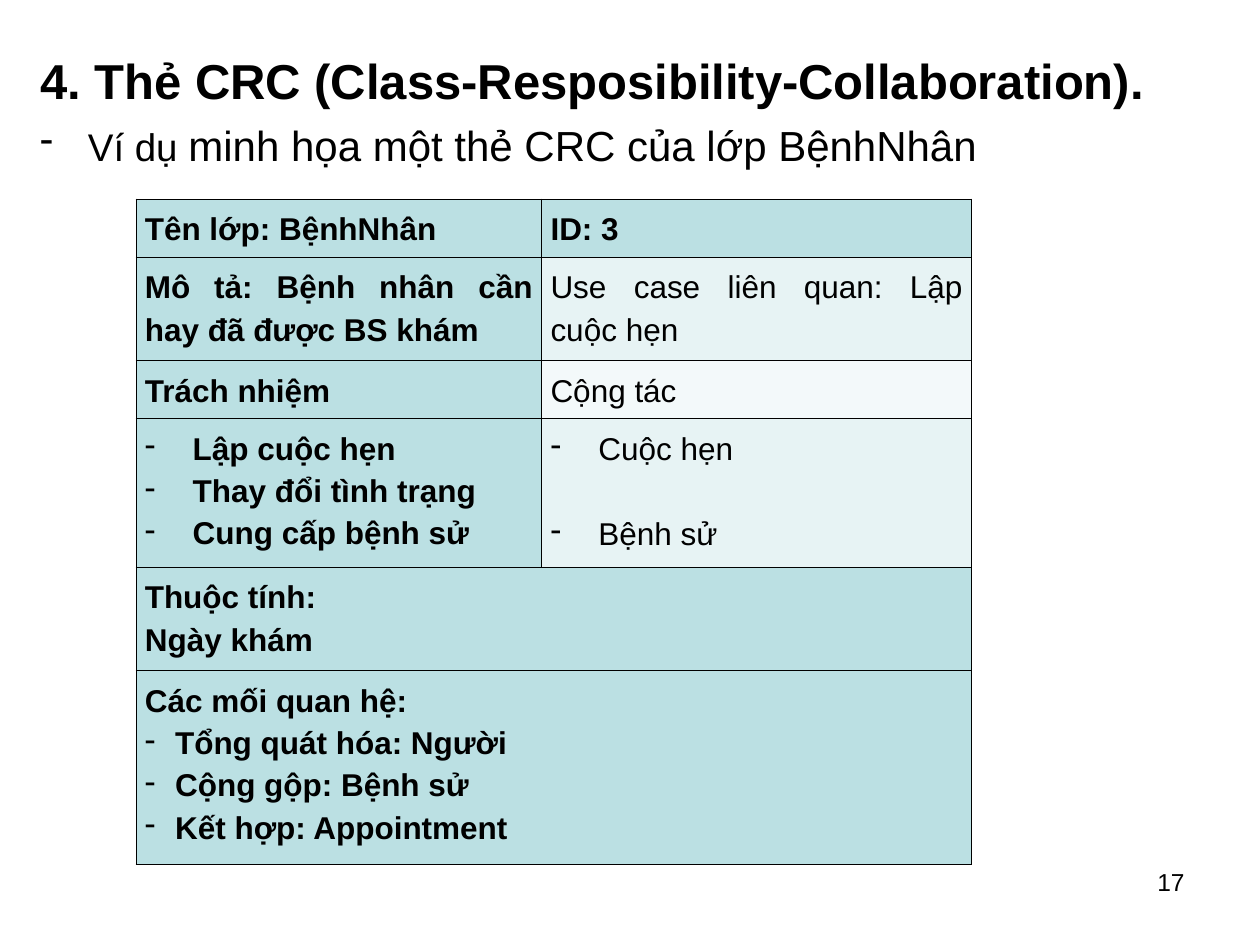
from lxml import etree
from pptx import Presentation
from pptx.dml.color import RGBColor
from pptx.enum.text import PP_ALIGN
from pptx.oxml.ns import qn
from pptx.util import Inches, Pt

JUSTIFY = PP_ALIGN.JUSTIFY
RIGHT = PP_ALIGN.RIGHT
COLORS = {"text": "000000", "border": "000000", "header": "BBE0E3",
          "band": "E7F3F4", "light": "F3F9FA"}
COLUMN_WIDTHS = [3.22, 3.41]
ROW_HEIGHTS = [0.36, 0.72, 0.36, 1.08, 0.72, 1.44]
BULLET_INDENT = 0.38
RELATION_INDENT = 0.24
SKIPPED_LINE = 24.4


def write_paragraph(paragraph, *texts, sizes=(18,), bold=False, align=None,
                    indent=0, bullet=None, before=0, spacing=None):
    """Write runs of text, one size for each, into a paragraph."""
    properties = paragraph._p.get_or_add_pPr()
    if indent:
        properties.set("marL", str(Inches(indent)))
        properties.set("indent", str(-Inches(indent)))
    if bullet:
        etree.SubElement(properties, qn("a:buChar")).set("char", bullet)
    if align is not None:
        paragraph.alignment = align
    if before:
        paragraph.space_before = Pt(before)
    if spacing:
        paragraph.line_spacing = spacing
    for text, size in zip(texts, sizes):
        run = paragraph.add_run()
        run.text = text
        run.font.name = "Arial"
        run.font.size = Pt(size)
        run.font.bold = bold
        run.font.color.rgb = RGBColor.from_string(COLORS["text"])


class CardSlide:
    """Holds the style and the current slide."""

    def __init__(self, presentation):
        self.slide = presentation.slides.add_slide(presentation.slide_layouts[6])

    def text_box(self, left, top, width, height, paragraphs):
        shape = self.slide.shapes.add_textbox(
            Inches(left), Inches(top), Inches(width), Inches(height))
        frame = shape.text_frame
        frame.word_wrap = True
        for index, (texts, options) in enumerate(paragraphs):
            paragraph = frame.add_paragraph() if index else frame.paragraphs[0]
            write_paragraph(paragraph, *texts, **options)

    def table(self, left, top, rows):
        shape = self.slide.shapes.add_table(
            len(ROW_HEIGHTS), len(COLUMN_WIDTHS), Inches(left), Inches(top),
            Inches(sum(COLUMN_WIDTHS)), Inches(sum(ROW_HEIGHTS)))
        table = shape.table
        for column, width in zip(table.columns, COLUMN_WIDTHS):
            column.width = Inches(width)
        for row, height in zip(table.rows, ROW_HEIGHTS):
            row.height = Inches(height)
        for row_index, cells in enumerate(rows):
            if len(cells) == 1:
                table.cell(row_index, 0).merge(table.cell(row_index, 1))
            for column_index, (fill, bold, lines) in enumerate(cells):
                self.fill_cell(table.cell(row_index, column_index), fill, bold, lines)
        for cell in table.iter_cells():
            self.border_cell(cell)

    def fill_cell(self, cell, fill, bold, lines):
        cell.margin_left = cell.margin_right = Inches(0.07)
        cell.margin_top = cell.margin_bottom = Inches(0.05)
        cell.fill.solid()
        cell.fill.fore_color.rgb = RGBColor.from_string(COLORS[fill])
        frame = cell.text_frame
        for index, (text, options) in enumerate(lines):
            paragraph = frame.add_paragraph() if index else frame.paragraphs[0]
            write_paragraph(paragraph, text, bold=bold, align=JUSTIFY,
                            spacing=1.2, **options)

    def border_cell(self, cell):
        properties = cell._tc.get_or_add_tcPr()
        for position, side in enumerate(("a:lnL", "a:lnR", "a:lnT", "a:lnB")):
            line = etree.Element(qn(side), w=str(Pt(0.45)))
            fill = etree.SubElement(line, qn("a:solidFill"))
            etree.SubElement(fill, qn("a:srgbClr")).set("val", COLORS["border"])
            properties.insert(position, line)


def plain(*texts):
    """Return unindented lines."""
    return [(text, {}) for text in texts]


def dashed(*texts, indent=BULLET_INDENT, before=0):
    """Return lines with a dash, spaced apart by before."""
    return [(text, {"bullet": "-", "indent": indent, "before": before if index else 0})
            for index, text in enumerate(texts)]


def main():
    """Build the class card slide."""
    presentation = Presentation()
    presentation.slide_width = Inches(10)
    presentation.slide_height = Inches(7.5)
    card = CardSlide(presentation)
    card.text_box(7.17, 6.83, 2.33, 0.52, [
        (["17"], {"sizes": [14], "align": RIGHT})])
    card.text_box(0.22, 0.35, 9.83, 6.5, [
        (["4. Thẻ CRC (Class-Resposibility-Collaboration)."],
         {"sizes": [28], "bold": True, "indent": BULLET_INDENT}),
        (["Ví dụ ", "minh họa một thẻ CRC của lớp BệnhNhân"],
         {"sizes": [22, 24], "indent": BULLET_INDENT, "bullet": "-", "before": 6})])
    card.table(1.08, 1.58, [
        [("header", True, plain("Tên lớp: BệnhNhân")),
         ("header", True, plain("ID: 3"))],
        [("header", True, plain("Mô tả: Bệnh nhân cần hay đã được BS khám")),
         ("band", False, plain("Use case liên quan: Lập cuộc hẹn"))],
        [("header", True, plain("Trách nhiệm")),
         ("light", False, plain("Cộng tác"))],
        [("header", True, dashed("Lập cuộc hẹn", "Thay đổi tình trạng", "Cung cấp bệnh sử")),
         ("band", False, dashed("Cuộc hẹn", "Bệnh sử", before=SKIPPED_LINE))],
        [("header", True, plain("Thuộc tính:", "Ngày khám"))],
        [("header", True, plain("Các mối quan hệ:") + dashed(
            "Tổng quát hóa: Người", "Cộng gộp: Bệnh sử", "Kết hợp: Appointment",
            indent=RELATION_INDENT))],
    ])
    presentation.save("out.pptx")


if __name__ == "__main__":
    main()
